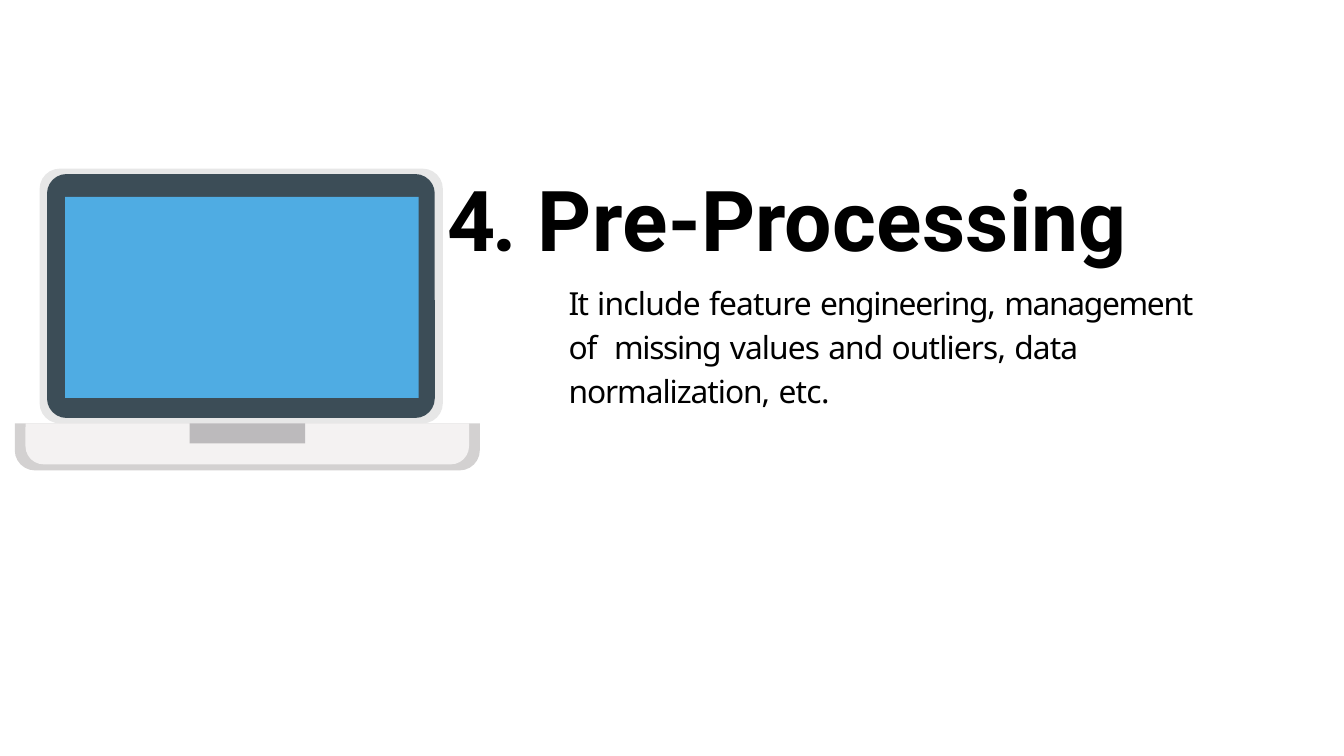
"""Build the pre-processing slide with a laptop drawing beside its text."""
import pptx
import pptx.dml.color
import pptx.enum.shapes
import pptx.enum.text
import pptx.util

Inches = pptx.util.Inches
Pt = pptx.util.Pt
Shape = pptx.enum.shapes.MSO_SHAPE

theme = {
    "lid": "E7E7E7",
    "base": "D3D1D1",
    "deck": "F4F2F2",
    "bezel": "3C4D57",
    "screen": "4FACE3",
    "notch": "BCBABC",
    "ink": "000000",
    "title": {"name": "Roboto", "size": Pt(90), "bold": True},
    "body": {"name": "Noto Sans", "size": Pt(34), "bold": False},
}


def tint(name):
    return pptx.dml.color.RGBColor.from_string(theme[name])


def write(para, text, style, gap):
    run = para.add_run()
    run.text = text
    run.font.color.rgb = tint("ink")
    for key, value in theme[style].items():
        setattr(run.font, key, value)
    run._r.get_or_add_rPr().set("spc", str(round(gap * 100)))


deck = pptx.Presentation()
deck.slide_width = Inches(20)
deck.slide_height = Inches(11.25)
slide = deck.slides.add_slide(deck.slide_layouts[6])

round_all = Shape.ROUNDED_RECTANGLE
round_low = Shape.ROUND_2_SAME_RECTANGLE
parts = [
    ("lid", round_all, 0.59, 2.51, 6, 3.79, 0.3),
    ("base", round_low, 0.22, 6.3, 6.92, 0.7, 0.3),
    ("deck", round_low, 0.38, 6.3, 6.6, 0.61, 0.27),
    ("bezel", round_all, 0.7, 2.59, 5.77, 3.63, 0.29),
    ("screen", Shape.RECTANGLE, 0.97, 2.93, 5.26, 2.99, 0),
    ("notch", Shape.RECTANGLE, 2.82, 6.3, 1.72, 0.3, 0),
]
for name, kind, left, top, width, height, curve in parts:
    part = slide.shapes.add_shape(
        kind, Inches(left), Inches(top), Inches(width), Inches(height))
    part.shadow.inherit = False
    part.fill.solid()
    part.fill.fore_color.rgb = tint(name)
    part.line.fill.background()
    ratio = curve / min(width, height)
    if kind == round_all:
        part.adjustments[0] = ratio
    elif kind == round_low:
        part.adjustments[0] = 0
        part.adjustments[1] = ratio

box = slide.shapes.add_textbox(
    Inches(6.64), Inches(1.84), Inches(11.62), Inches(4.28))
frame = box.text_frame
layout = {
    "word_wrap": True,
    "vertical_anchor": pptx.enum.text.MSO_ANCHOR.TOP,
    "margin_left": 0,
    "margin_top": Inches(0.65),
    "margin_right": Inches(0.4),
    "margin_bottom": 0,
}
for key, value in layout.items():
    setattr(frame, key, value)

texts = [
    ("title", 0.02, {}, [("4. ", -3.4), ("Pre-Processing", 0.3)]),
    ("body", 1.82, {"line_spacing": 1.16, "space_before": Pt(10)}, [
        ("It ", -1.9), ("include ", -0.8), ("feature ", -0.9),
        ("engineering, ", -1.3), ("management ", -1.4), ("of  ", -1.1),
        ("missing ", -1.4), ("values ", -1), ("and ", -0.9),
        ("outliers, ", -0.9), ("data ", -0.9),
        ("normalization, ", -1.1), ("etc.", -0.7),
    ]),
]
for row, (style, indent, spacing, words) in enumerate(texts):
    para = frame.add_paragraph() if row else frame.paragraphs[0]
    para.alignment = pptx.enum.text.PP_ALIGN.LEFT
    para._p.get_or_add_pPr().set("marL", str(Inches(indent)))
    for key, value in spacing.items():
        setattr(para, key, value)
    for text, gap in words:
        word = text.rstrip()
        write(para, word, style, gap)
        if word != text:
            write(para, text[len(word):], style, 0)

deck.save("out.pptx")
